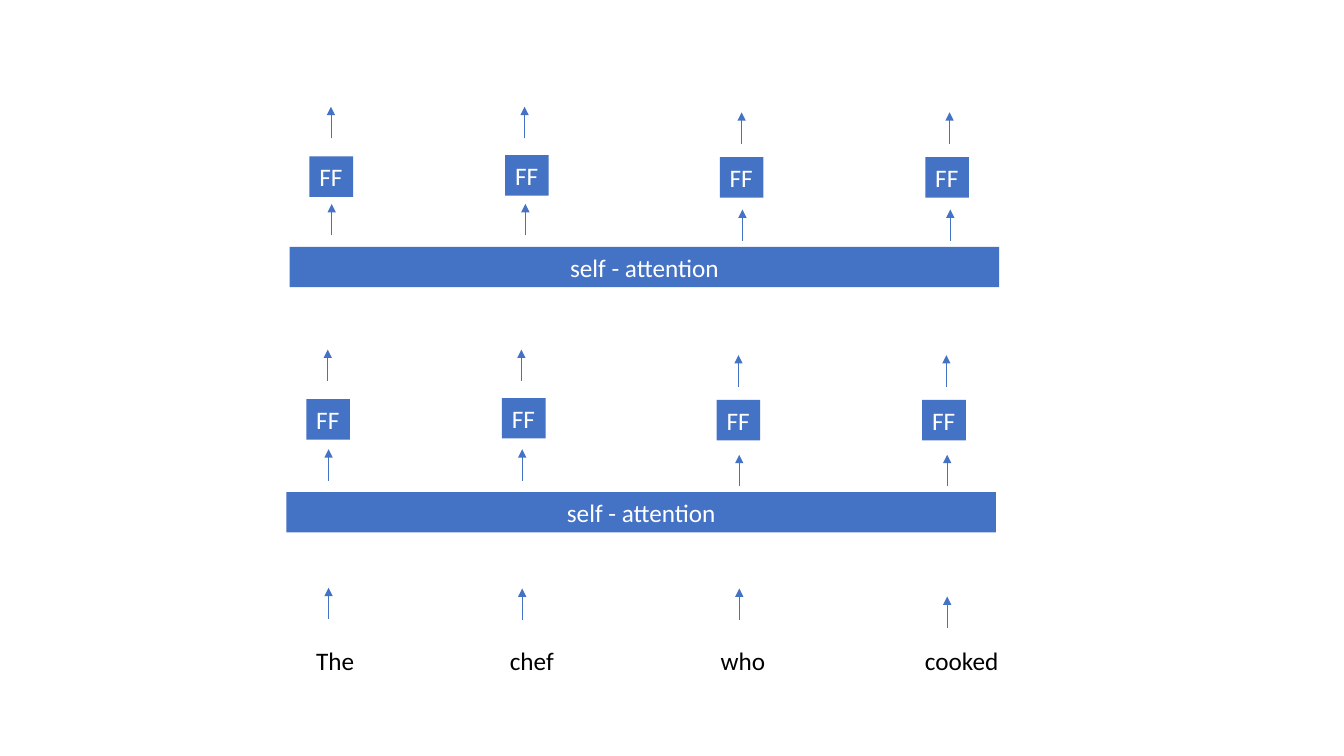
from pptx import Presentation
from pptx import util as u
from pptx.dml.color import RGBColor
from pptx.enum import shapes, text
from pptx.oxml.ns import qn
from lxml import etree

BLUE = RGBColor(0x44, 0x72, 0xC4)
WHITE = RGBColor(0xFF, 0xFF, 0xFF)
BLACK = RGBColor(0, 0, 0)

ROW_HEIGHT = 1.02
BAR_WIDTH = 17.88
BLOCK_WIDTH = 1.1
ARROW_LENGTH = 0.79

# All lengths in cm: word, left, width, wraps
WORDS = [
    ("The", 7.72, 1.47, False),
    ("chef", 12.6, 1.63, False),
    ("who", 17.91, 1.75, True),
    ("cooked", 23.06, 2.57, True),
]
# Arrow x, arrow drop, block left, block drop
COLUMNS = [
    (8.28, 0, 7.72, 0),
    (13.16, 0, 12.65, -0.03),
    (18.63, 0.14, 18.06, 0.02),
    (23.87, 0.14, 23.24, 0.02),
]
INPUT_ARROW_BOTTOMS = [15.6, 15.62, 15.62, 15.82]
# Shift to the right, bar top, block top
LAYERS = [(0, 12.4, 10.06), (0.08, 6.22, 3.94)]


def set_text(shape, wording, color, alignment, wraps):
    frame = shape.text_frame
    frame.word_wrap = wraps
    frame.auto_size = text.MSO_AUTO_SIZE.SHAPE_TO_FIT_TEXT
    frame.text = wording
    paragraph = frame.paragraphs[0]
    paragraph.alignment = alignment
    paragraph.font.name = "Calibri"
    paragraph.font.size = u.Pt(18)
    paragraph.font.color.rgb = color


def add_word(slide, wording, left, width, wraps):
    box = slide.shapes.add_textbox(
        u.Cm(left), u.Cm(16.13), u.Cm(width), u.Cm(ROW_HEIGHT))
    set_text(box, wording, BLACK, text.PP_ALIGN.LEFT, wraps)


def add_block(slide, wording, left, top, width, alignment, wraps):
    block = slide.shapes.add_shape(
        shapes.MSO_SHAPE.RECTANGLE,
        u.Cm(left), u.Cm(top), u.Cm(width), u.Cm(ROW_HEIGHT))
    block.shadow.inherit = False
    block.fill.solid()
    block.fill.fore_color.rgb = BLUE
    block.line.fill.background()
    set_text(block, wording, WHITE, alignment, wraps)


def add_up_arrow(slide, x, bottom):
    arrow = slide.shapes.add_connector(
        shapes.MSO_CONNECTOR.STRAIGHT,
        u.Cm(x), u.Cm(bottom), u.Cm(x), u.Cm(bottom - ARROW_LENGTH))
    arrow.line.color.rgb = BLUE
    arrow.line.width = u.Pt(0.5)
    line = arrow.line._get_or_add_ln()
    etree.SubElement(line, qn("a:tailEnd"), type="triangle")
    etree.SubElement(arrow._element.spPr, qn("a:effectLst"))


def add_layer(slide, shift, bar_top, block_top):
    """Add a self-attention bar with a feed-forward block over each word."""
    add_block(slide, "self - attention", 7.22 + shift, bar_top, BAR_WIDTH,
              text.PP_ALIGN.CENTER, True)
    for arrow_x, arrow_drop, block_left, block_drop in COLUMNS:
        x = arrow_x + shift
        add_up_arrow(slide, x, bar_top - 0.29 + arrow_drop)
        add_block(slide, "FF", block_left + shift, block_top + block_drop,
                  BLOCK_WIDTH, text.PP_ALIGN.LEFT, False)
        add_up_arrow(slide, x - 0.02, block_top - 0.46 + arrow_drop)


def main():
    presentation = Presentation()
    presentation.slide_width = u.Cm(33.87)
    presentation.slide_height = u.Cm(19.05)
    slide = presentation.slides.add_slide(presentation.slide_layouts[6])

    for word in WORDS:
        add_word(slide, *word)
    for column, bottom in zip(COLUMNS, INPUT_ARROW_BOTTOMS):
        add_up_arrow(slide, column[0], bottom)
    for layer in LAYERS:
        add_layer(slide, *layer)

    presentation.save("out.pptx")


if __name__ == "__main__":
    main()
